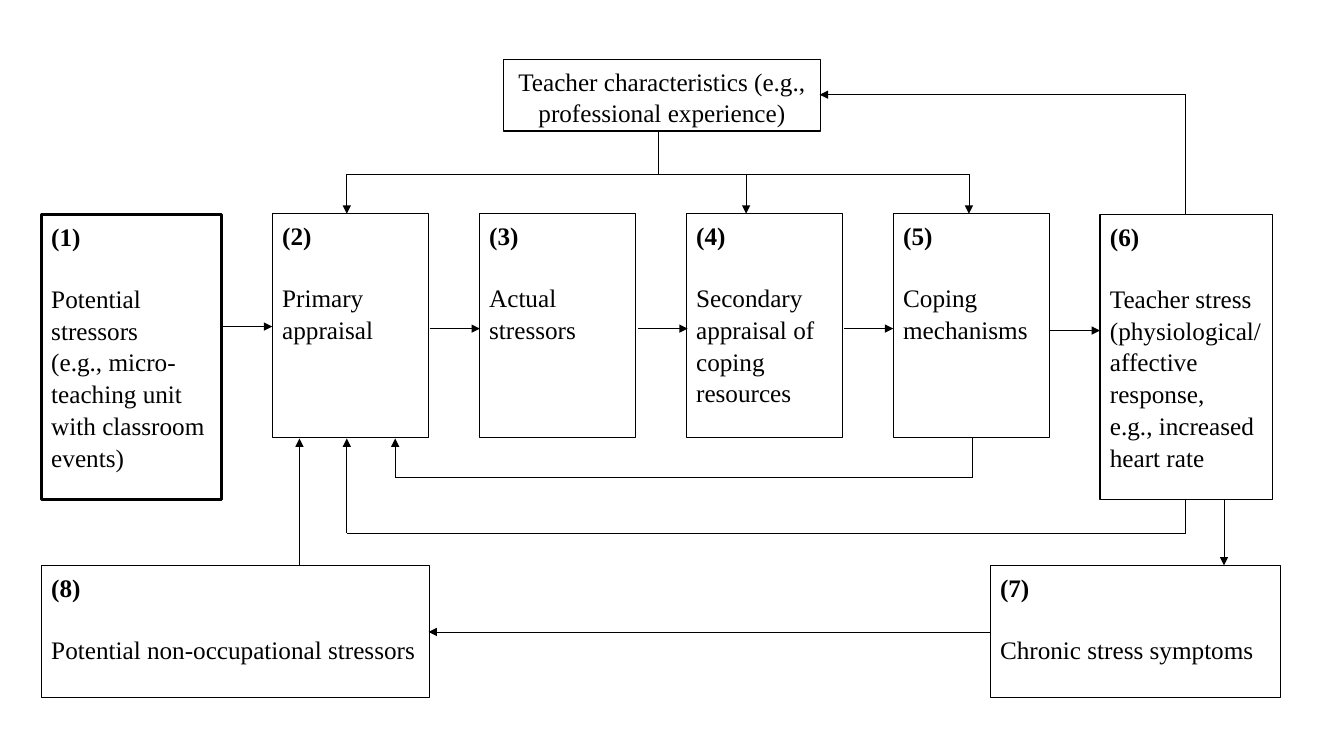
"""Build a slide with a flow model of teacher stress."""
from lxml import etree
from pptx import Presentation
from pptx.dml.color import RGBColor
from pptx.enum.shapes import MSO_CONNECTOR, MSO_SHAPE
from pptx.enum.text import MSO_ANCHOR, PP_ALIGN
from pptx.oxml.ns import qn
from pptx.util import Inches, Pt

BLACK = RGBColor(0x00, 0x00, 0x00)
FONT = "Times New Roman"
LINE_SPACING = 1.05
NUMBER_GAP = Pt(21.7)

presentation = Presentation()
presentation.slide_width = Inches(13.33)
presentation.slide_height = Inches(7.5)
slide = presentation.slides.add_slide(presentation.slide_layouts[6])


def add_box(left, top, width, height, lines, border=0.75):
    """Add an outlined box with one paragraph per line and return it."""
    shape = slide.shapes.add_shape(
        MSO_SHAPE.RECTANGLE, Inches(left), Inches(top), Inches(width), Inches(height))
    shape.shadow.inherit = False
    shape.fill.background()
    shape.line.color.rgb = BLACK
    shape.line.width = Pt(border)
    text_frame = shape.text_frame
    text_frame.word_wrap = True
    text_frame.vertical_anchor = MSO_ANCHOR.TOP
    text_frame.text = "\n".join(lines)
    for paragraph in text_frame.paragraphs:
        paragraph.alignment = PP_ALIGN.LEFT
        paragraph.line_spacing = LINE_SPACING
        font = paragraph.runs[0].font
        font.name = FONT
        font.size = Pt(18)
        font.color.rgb = BLACK
    return shape


def add_line(start_x, start_y, end_x, end_y, arrow=False):
    """Add a thin straight line, with an arrowhead at its end if wanted."""
    connector = slide.shapes.add_connector(
        MSO_CONNECTOR.STRAIGHT,
        Inches(start_x), Inches(start_y), Inches(end_x), Inches(end_y))
    connector.line.color.rgb = BLACK
    connector.line.width = Pt(0.5)
    if arrow:
        etree.SubElement(connector.line._get_or_add_ln(), qn("a:tailEnd"), type="triangle")
    etree.SubElement(connector._element.spPr, qn("a:effectLst"))


characteristics = add_box(
    4.99, 0.59, 3.15, 0.71, ["Teacher characteristics (e.g., professional experience)"])
characteristics.text_frame.paragraphs[0].alignment = PP_ALIGN.CENTER

STAGE_TOP, STAGE_HEIGHT, STAGE_WIDTH = 2.12, 2.22, 1.55
FIRST_STAGE_LEFT, STAGE_PITCH = 2.7, 2.053
stages = [
    ["Primary appraisal"],
    ["Actual stressors"],
    ["Secondary appraisal of coping resources"],
    ["Coping", "mechanisms"],
]
numbered_boxes = [
    (0.41, 2.13, 1.79, 2.83,
     ["Potential stressors", "(e.g., micro-teaching unit with classroom events)"], 2.25),
]
for index, lines in enumerate(stages):
    numbered_boxes.append((FIRST_STAGE_LEFT + index * STAGE_PITCH, STAGE_TOP,
                           STAGE_WIDTH, STAGE_HEIGHT, lines, 0.75))
numbered_boxes += [
    (10.91, 2.13, 1.71, 2.83,
     ["Teacher stress", "(physiological/ affective response,", "e.g., increased heart rate"],
     0.75),
    (9.82, 5.61, 2.88, 1.31, ["Chronic stress symptoms"], 0.75),
    (0.41, 5.61, 3.85, 1.31, ["Potential non-occupational stressors"], 0.75),
]
for number, (left, top, width, height, lines, border) in enumerate(numbered_boxes, start=1):
    box = add_box(left, top, width, height, [f"({number})"] + lines, border)
    heading = box.text_frame.paragraphs[0]
    heading.runs[0].font.bold = True
    heading.space_after = NUMBER_GAP

stage_arrows = [
    (2.21, 2.7, 3.24), (4.26, 4.76, 3.26), (6.33, 6.82, 3.26),
    (8.37, 8.86, 3.26), (10.41, 10.91, 3.28),
]
for start_x, end_x, y in stage_arrows:
    add_line(start_x, y, end_x, y, arrow=True)

BRANCH_Y = 1.73
add_line(6.53, 1.3, 6.53, BRANCH_Y)
add_line(3.44, BRANCH_Y, 9.61, BRANCH_Y)
for x in (3.44, 7.4, 9.61):
    add_line(x, BRANCH_Y, x, STAGE_TOP, arrow=True)

feedback_loops = [(9.64, 4.35, 4.74, 3.92), (11.76, 4.95, 5.29, 3.44)]
for source_x, source_y, return_y, target_x in feedback_loops:
    add_line(source_x, source_y, source_x, return_y)
    add_line(target_x, return_y, source_x, return_y)
    add_line(target_x, return_y, target_x, 4.35, arrow=True)

add_line(11.76, 0.94, 11.76, STAGE_TOP)
add_line(11.76, 0.94, 8.13, 0.94, arrow=True)
add_line(12.14, 4.95, 12.14, 5.61, arrow=True)
add_line(9.82, 6.27, 4.25, 6.27, arrow=True)
add_line(2.97, 5.61, 2.97, 4.35, arrow=True)

presentation.save("out.pptx")
